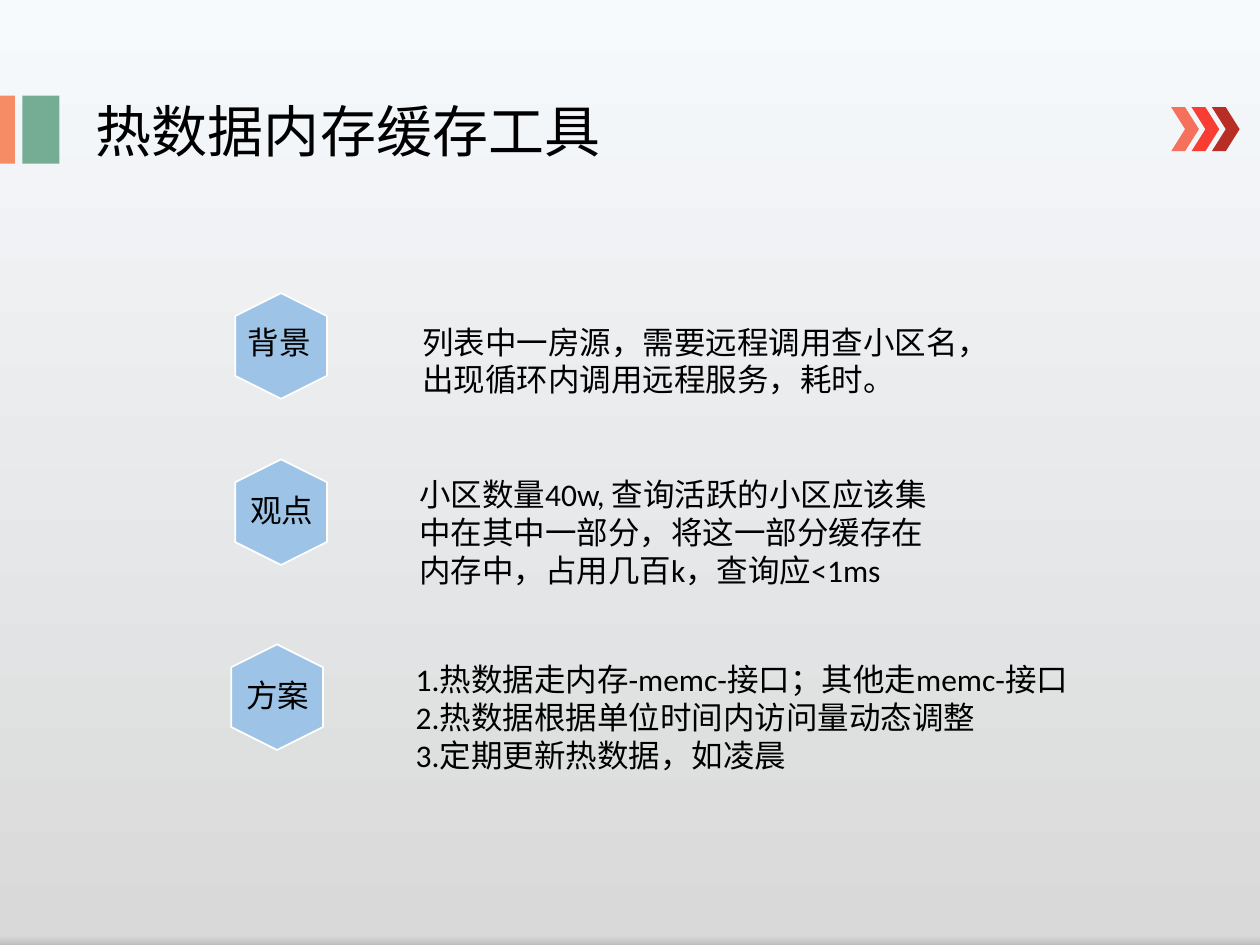
from lxml import etree
from pptx import Presentation
from pptx.dml.color import RGBColor
from pptx.enum import shapes, text
from pptx.oxml.ns import qn
from pptx.util import Cm, Pt


def rgb(value):
    return RGBColor.from_string(value)


def write(shape, lines, size):
    """Fill a box with left-aligned black paragraphs."""
    frame = shape.text_frame
    frame.word_wrap = True
    frame.auto_size = text.MSO_AUTO_SIZE.NONE
    frame.text = "\n".join(lines)
    for paragraph in frame.paragraphs:
        paragraph.alignment = text.PP_ALIGN.LEFT
        for name, value in {"name": "Calibri", "size": Pt(size)}.items():
            setattr(paragraph.font, name, value)
        paragraph.font.color.rgb = rgb("000000")


prs = Presentation()
prs.slide_width, prs.slide_height = Cm(25.4), Cm(19.05)
slide = prs.slides.add_slide(prs.slide_layouts[5])

# Background: light at the top, a thin darker edge at the bottom
backdrop = slide.background.fill
backdrop.gradient()
backdrop.gradient_angle = 270
stops = slide.background._cSld.find(".//" + qn("a:gsLst"))
for stop in list(stops):
    stops.remove(stop)
for percent, color in [(0, "F7FAFD"), (99, "D9D9D9"), (100, "BFBFBF")]:
    stop = etree.SubElement(stops, qn("a:gs"), pos=str(percent * 1000))
    etree.SubElement(stop, qn("a:srgbClr"), val=color)

# Heading with its colour bars and chevrons
title = slide.shapes.title
title.left, title.top, title.width, title.height = Cm(1.68), Cm(1.8), Cm(17.7), Cm(1.63)
write(title, ["热数据内存缓存工具"], 32)
title.text_frame.vertical_anchor = text.MSO_ANCHOR.MIDDLE

RECT, CHEVRON = shapes.MSO_SHAPE.RECTANGLE, shapes.MSO_SHAPE.CHEVRON
ornaments = [
    (RECT, 0, 1.93, 0.3, 1.37, "F58C65"),
    (RECT, 0.45, 1.93, 0.75, 1.37, "74AD93"),
]
for i, color in enumerate(["F5715B", "F93D32", "B82E24"]):
    ornaments.append((CHEVRON, 23.61 + i * 0.41, 2.16, 0.56, 0.89, color))
for kind, left, top, width, height, color in ornaments:
    ornament = slide.shapes.add_shape(kind, Cm(left), Cm(top), Cm(width), Cm(height))
    ornament.shadow.inherit = False
    ornament.fill.solid()
    ornament.fill.fore_color.rgb = rgb(color)
    ornament.line.fill.background()

# Topics: hexagon (left, top), label (left, top), detail (left, top, width, height)
topics = [
    ("背景", (4.6, 6.05), (4.75, 6.38), (8.26, 6.38, 11.8, 1.8),
     ["列表中一房源，需要远程调用查小区名，出现循环内调用远程服务，耗时。"]),
    ("观点", (4.6, 9.4), (4.8, 9.78), (8.2, 9.45, 10.92, 2.57),
     ["小区数量40w, 查询活跃的小区应该集中在其中一部分，将这一部分缓存在内存中，占用几百k，查询应<1ms"]),
    ("方案", (4.52, 13.13), (4.72, 13.51), (8.13, 13.18, 14.02, 2.57),
     ["1.热数据走内存-memc-接口；其他走memc-接口",
      "2.热数据根据单位时间内访问量动态调整",
      "3.定期更新热数据，如凌晨"]),
]
for topic, hexagon_at, label_at, detail_at, details in topics:
    hexagon = slide.shapes.add_shape(
        shapes.MSO_SHAPE.HEXAGON, *map(Cm, hexagon_at), Cm(2.13), Cm(1.85))
    hexagon.rotation = 90
    hexagon.shadow.inherit = False
    hexagon.fill.solid()
    hexagon.fill.fore_color.rgb = rgb("9DC3E6")
    hexagon.line.color.rgb = rgb("FFFFFF")
    hexagon.line.width = Pt(1)
    label = slide.shapes.add_textbox(*map(Cm, label_at), Cm(3.53), Cm(1.02))
    write(label, [topic], 18)
    detail = slide.shapes.add_textbox(*map(Cm, detail_at))
    write(detail, details, 18)

prs.save("out.pptx")
